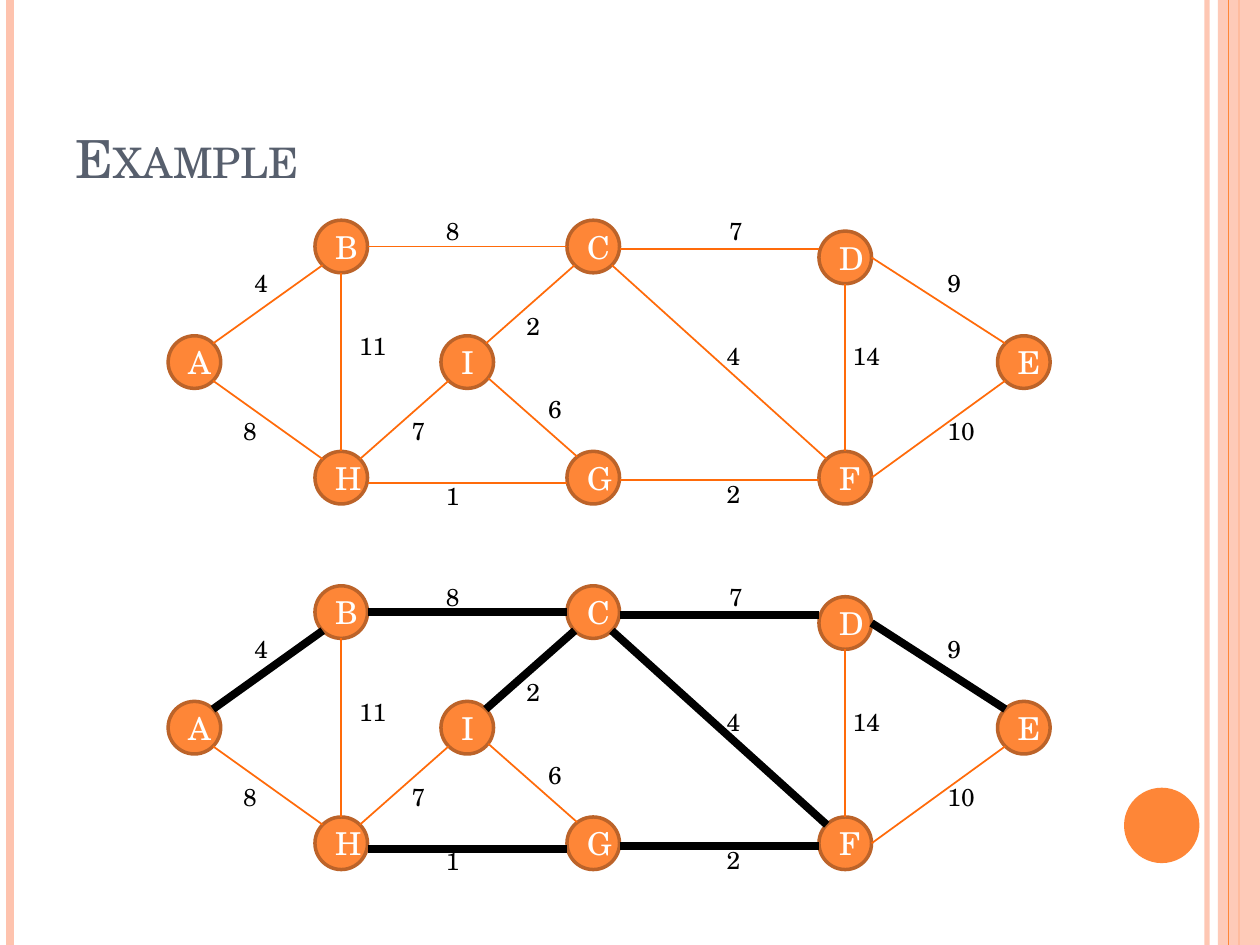
import math

import pptx
import pptx.util
import pptx.dml.color
import pptx.enum.shapes
import pptx.enum.text
import pptx.oxml.ns
from lxml import etree

Cm, Pt = pptx.util.Cm, pptx.util.Pt
SHAPE = pptx.enum.shapes.MSO_SHAPE
ANCHOR = pptx.enum.text.MSO_ANCHOR

# Content: centres of the vertices, in cm
VERTICES = {
    "A": (3.92, 7.3), "I": (9.42, 7.3), "E": (20.64, 7.3),
    "G": (11.96, 9.63), "F": (17.04, 9.63), "H": (6.88, 9.63),
    "B": (6.88, 4.97), "C": (11.96, 4.97), "D": (17.04, 5.19),
}
# from, side, to, side, weight, corner of the weight, in spanning tree, nudge
EDGES = [
    ("A", "NE", "B", "SW", 4, (4.88, 5.28), True, (0, 0)),
    ("F", "E", "E", "SW", 10, (18.85, 8.26), False, (0, 0)),
    ("A", "SE", "H", "NW", 8, (4.65, 8.26), False, (0, 0)),
    ("D", "E", "E", "NW", 9, (18.85, 5.28), True, (0, 0)),
    ("B", "E", "C", "W", 8, (8.74, 4.24), True, (0, 0)),
    ("H", "E", "G", "W", 1, (8.74, 9.57), True, (0, 0.11)),
    ("C", "E", "D", "W", 7, (14.45, 4.24), True, (0, 0.05)),
    ("G", "E", "F", "W", 2, (14.4, 9.53), True, (0, 0.05)),
    ("C", "SW", "I", "NE", 2, (10.36, 6.15), True, (0, 0)),
    ("I", "SW", "H", "NE", 7, (8.05, 8.26), False, (0, 0)),
    ("G", "NW", "I", "SE", 6, (10.8, 7.82), False, (0.05, -0.05)),
    ("B", "S", "H", "N", 11, (6.99, 6.55), False, (0, 0)),
    ("D", "S", "F", "N", 14, (16.94, 6.76), False, (0, 0)),
    ("C", "SE", "F", "NW", 4, (14.4, 6.76), True, (0, 0)),
]
GRAPHS = [(0, False), (7.37, True)]  # shift down, tree highlighted
COLORS = {"orange": "FE8637", "rim": "BC6329", "edge": "FF6B0A", "tree": "000000",
          "pink": "FEC3AE", "title": "575F6D", "weight": "000000", "letter": "FFFFFF"}
FONT = "TeX Gyre Schola"
WIDTH, HEIGHT = 25.4, 19.05
DIAMETER = 1.06
SIDES = ["E", "SE", "S", "SW", "W", "NW", "N", "NE"]  # clockwise, 45 degrees apart


def rgb(name):
    return pptx.dml.color.RGBColor.from_string(COLORS[name])


def paint(fill, color, opacity=100):
    fill.solid()
    fill.fore_color.rgb = rgb(color)
    if opacity < 100:
        qn = pptx.oxml.ns.qn
        tint = next(fill._xPr.iter(qn("a:srgbClr")))
        etree.SubElement(tint, qn("a:alpha")).set("val", str(opacity * 1000))


def add_line(parent, start, end, color, width, opacity=100):
    line = parent.add_connector(pptx.enum.shapes.MSO_CONNECTOR.STRAIGHT,
                                *map(Cm, (*start, *end)))
    line.line.width = Pt(width)
    paint(line.line.fill, color, opacity)
    etree.SubElement(line._element.spPr, pptx.oxml.ns.qn("a:effectLst"))


def add_solid(parent, kind, box, color, opacity=100):
    solid = parent.add_shape(kind, *map(Cm, box))
    solid.shadow.inherit = False
    paint(solid.fill, color, opacity)
    solid.line.fill.background()
    return solid


def write(frame, text, size, color, **frame_format):
    for key, value in frame_format.items():
        setattr(frame, key, value)
    run = frame.paragraphs[0].add_run()
    run.text = text
    for key, value in {"name": FONT, "size": Pt(size)}.items():
        setattr(run.font, key, value)
    run.font.color.rgb = rgb(color)
    return run


def rim_point(vertex, side):
    angle = math.radians(45 * SIDES.index(side))
    x, y = VERTICES[vertex]
    return x + DIAMETER / 2 * math.cos(angle), y + DIAMETER / 2 * math.sin(angle)


def add_graph(slide, down, show_tree):
    graph = slide.shapes.add_group_shape().shapes
    # Vertices
    for letter, (x, y) in VERTICES.items():
        box = (x - DIAMETER / 2, y - DIAMETER / 2 + down, DIAMETER, DIAMETER)
        vertex = add_solid(graph, SHAPE.OVAL, box, "orange")
        paint(vertex.line.fill, "rim")
        vertex.line.width = Pt(2)
        write(vertex.text_frame, letter, 18, "letter", vertical_anchor=ANCHOR.MIDDLE)
        vertex.text_frame.paragraphs[0].alignment = pptx.enum.text.PP_ALIGN.CENTER
    # Edges; those from east to west stay level
    for tail, tail_side, head, head_side, _, _, in_tree, (dx, dy) in EDGES:
        x1, y1 = rim_point(tail, tail_side)
        x2, y2 = rim_point(head, head_side)
        if (tail_side, head_side) == ("E", "W"):
            y2 = y1
        color, width = ("tree", 4.5) if show_tree and in_tree else ("edge", 1)
        add_line(graph, (x1 + dx, y1 + dy + down), (x2 + dx, y2 + dy + down), color, width)
    # Weights
    for *_, weight, (left, top), _, _ in EDGES:
        box = (left, top + down, 0.79 if weight < 10 else 1.07, 0.86)
        write(graph.add_textbox(*map(Cm, box)).text_frame, str(weight), 14, "weight",
              word_wrap=False, auto_size=pptx.enum.text.MSO_AUTO_SIZE.SHAPE_TO_FIT_TEXT)


def main():
    deck = pptx.Presentation()
    deck.slide_width, deck.slide_height = Cm(WIDTH), Cm(HEIGHT)
    slide = deck.slides.add_slide(deck.slide_layouts[6])

    # Side bands
    def add_stripe(x, *style):
        add_line(slide.shapes, (x, 0), (x, HEIGHT), *style)

    add_stripe(24.33, "pink", 3, 93)
    add_stripe(0.21, "pink", 4.5)
    add_stripe(24.98, "orange", 1.5)
    add_solid(slide.shapes, SHAPE.RECTANGLE, (24.55, 0, 0.85, HEIGHT), "pink", 87)
    add_stripe(24.77, "orange", 0.75)
    add_solid(slide.shapes, SHAPE.OVAL, (22.66, 15.88, 1.52, 1.52), "orange")

    # Title
    title = slide.shapes.add_textbox(Cm(1.27), Cm(0.76), Cm(20.75), Cm(3.18))
    heading = write(title.text_frame, "Example", 30, "title",
                    word_wrap=True, vertical_anchor=ANCHOR.BOTTOM)
    heading.font._element.set("cap", "small")

    for down, show_tree in GRAPHS:
        add_graph(slide, down, show_tree)
    deck.save("out.pptx")


if __name__ == "__main__":
    main()
